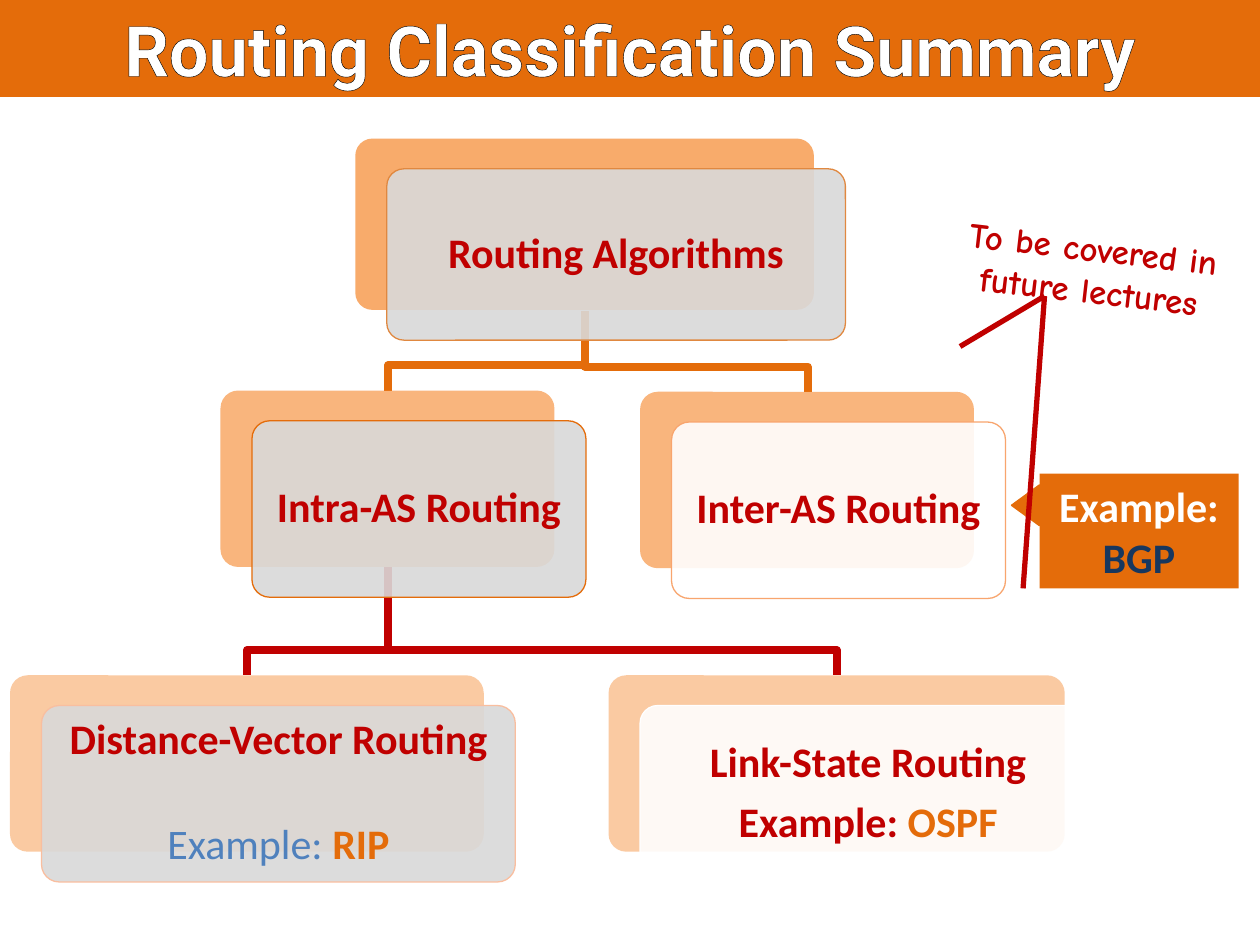
from dataclasses import dataclass

from lxml.etree import SubElement
from pptx import Presentation
from pptx.dml.color import RGBColor
from pptx.enum.shapes import MSO_CONNECTOR, MSO_SHAPE
from pptx.enum.text import MSO_ANCHOR, PP_ALIGN
from pptx.oxml.ns import qn
from pptx.util import Inches, Pt


@dataclass(frozen=True)
class Theme:
    orange: str = "E46C0A"
    peach: str = "F79646"
    red: str = "C00000"
    gray: str = "D9D9D9"
    white: str = "FFFFFF"
    black: str = "000000"
    mid_gray: str = "808080"
    blue: str = "4F81BD"
    navy: str = "17375E"
    amber_edge: str = "E08840"
    pink_edge: str = "F9BE9F"
    peach_edge: str = "F8A56E"
    title: int = 40
    label: int = 24
    note: int = 20
    font: str = "Calibri"
    title_font: str = "Roboto"
    note_font: str = "Comic Neue"


T = Theme()


def paint(sp, fill=None, line=None, width=0.75, alpha=100):
    sp.shadow.inherit = False
    if fill:
        sp.fill.solid()
        sp.fill.fore_color.rgb = RGBColor.from_string(fill)
        if alpha < 100:
            clr = sp._element.spPr.find(qn("a:solidFill"))[0]
            SubElement(clr, qn("a:alpha"), val=str(alpha * 1000))
    else:
        sp.fill.background()
    if line:
        sp.line.color.rgb = RGBColor.from_string(line)
        sp.line.width = Pt(width)
    else:
        sp.line.fill.background()


def write(p, runs, size=T.label, font=T.font):
    p.alignment = PP_ALIGN.CENTER
    for text, color, bold, outline in runs:
        r = p.add_run()
        r.text = text
        r.font.size = Pt(size)
        r.font.name = font
        r.font.bold = bold
        r.font.color.rgb = RGBColor.from_string(color)
        if outline:
            rPr = r._r.get_or_add_rPr()
            ln = SubElement(rPr, qn("a:ln"), w=str(Pt(0.75)))
            SubElement(SubElement(ln, qn("a:solidFill")), qn("a:srgbClr"), val=outline)
            rPr.insert(0, ln)


prs = Presentation()
prs.slide_width, prs.slide_height = Inches(10), Inches(7.5)
s = prs.slides.add_slide(prs.slide_layouts[5])

title = s.shapes.title
title.left, title.top, title.width, title.height = 0, 0, Inches(10), Inches(0.77)
title.fill.solid()
title.fill.fore_color.rgb = RGBColor.from_string(T.orange)
title.text_frame.vertical_anchor = MSO_ANCHOR.MIDDLE
write(title.text_frame.paragraphs[0],
      [("Routing Classification Summary", T.white, True, T.black)], T.title, T.title_font)

branches = [
    (4.64, 2.47, 2.91, 6.41, 3.11, T.orange),
    (3.08, 4.5, 5.16, 6.64, 5.36, T.red),
    (3.08, 4.5, 5.16, 1.96, 5.36, T.red),
    (4.64, 2.47, 2.9, 3.08, 3.1, T.orange),
]
for x1, y1, y_mid, x2, y2, color in branches:
    fb = s.shapes.build_freeform(Inches(x1), Inches(y1))
    fb.add_line_segments([(Inches(x), Inches(y)) for x, y in
                          ((x1, y_mid), (x2, y_mid), (x2, y2))], close=False)
    paint(fb.convert_to_shape(), line=color, width=4.5)

cards = [
    (2.82, 1.1, 3.64, 1.36, 80, T.gray, T.amber_edge, 8.4,
     [[("Routing Algorithms", T.red, True, T.mid_gray)]]),
    (1.75, 3.1, 2.65, 1.4, 70, T.gray, T.orange, 8.4,
     [[("Intra-AS Routing", T.red, True, T.mid_gray)]]),
    (0.08, 5.36, 3.76, 1.4, 50, T.gray, T.pink_edge, 34,
     [[("Distance-Vector Routing", T.red, True, T.black)],
      [("Example: ", T.blue, False, T.black), ("RIP", T.orange, True, T.black)]]),
    (4.83, 5.36, 3.62, 1.4, 50, T.white, T.white, 8.4,
     [[("Link-State Routing", T.red, True, T.mid_gray)],
      [("Example: ", T.red, True, T.mid_gray), ("OSPF", T.orange, True, T.black)]]),
    (5.08, 3.11, 2.65, 1.4, 70, T.white, T.peach_edge, 8.4,
     [[("Inter-AS Routing", T.red, True, T.mid_gray)]]),
]
for x, y, w, h, alpha, fill, line, gap, lines in cards:
    back, front = [
        s.shapes.add_shape(MSO_SHAPE.ROUNDED_RECTANGLE, Inches(x + dx), Inches(y + dy),
                           Inches(w), Inches(h))
        for dx, dy in ((0, 0), (0.25, 0.24))
    ]
    back.adjustments[0] = front.adjustments[0] = 0.1
    paint(back, T.peach, alpha=alpha)
    paint(front, fill, line, alpha=90)
    tf = front.text_frame
    tf.word_wrap = True
    tf.vertical_anchor = MSO_ANCHOR.MIDDLE
    tf.margin_left = tf.margin_right = tf.margin_top = tf.margin_bottom = Inches(0.1)
    for i, runs in enumerate(lines):
        p = tf.add_paragraph() if i else tf.paragraphs[0]
        p.line_spacing = 0.9
        p.space_after = Pt(gap)
        write(p, runs)

pointer = s.shapes.add_shape(MSO_SHAPE.ISOSCELES_TRIANGLE, Inches(7.98), Inches(3.9),
                             Inches(0.32), Inches(0.22))
pointer.rotation = 270
paint(pointer, T.orange, T.orange, 1)

example = s.shapes.add_shape(MSO_SHAPE.RECTANGLE, Inches(8.25), Inches(3.76),
                             Inches(1.58), Inches(0.91))
paint(example, T.orange)
tf = example.text_frame
tf.word_wrap = True
tf.vertical_anchor = MSO_ANCHOR.MIDDLE
write(tf.paragraphs[0], [("Example: ", T.white, True, None), ("BGP", T.navy, True, None)])

note = s.shapes.add_textbox(Inches(7.34), Inches(1.75), Inches(2.66), Inches(0.62))
note.rotation = 6.5
tf = note.text_frame
tf.word_wrap = True
write(tf.paragraphs[0], [("To be covered in future lectures", T.red, True, None)],
      T.note, T.note_font)

for x, y in ((7.62, 2.75), (8.12, 4.67)):
    ln = s.shapes.add_connector(MSO_CONNECTOR.STRAIGHT, Inches(8.29), Inches(2.35),
                                Inches(x), Inches(y))
    ln.line.color.rgb = RGBColor.from_string(T.red)
    ln.line.width = Pt(3)
    SubElement(ln._element.spPr, qn("a:effectLst"))

prs.save("out.pptx")
